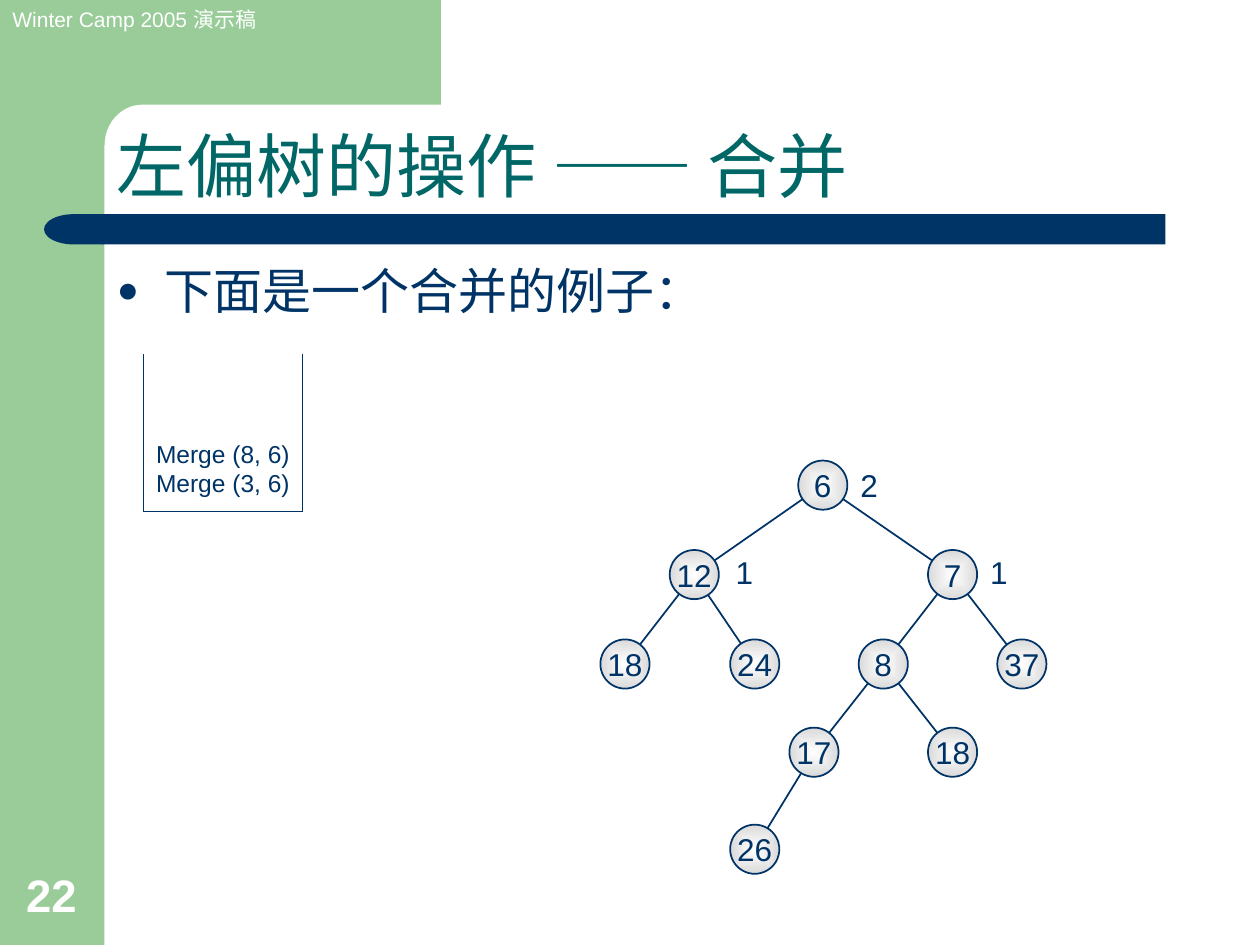
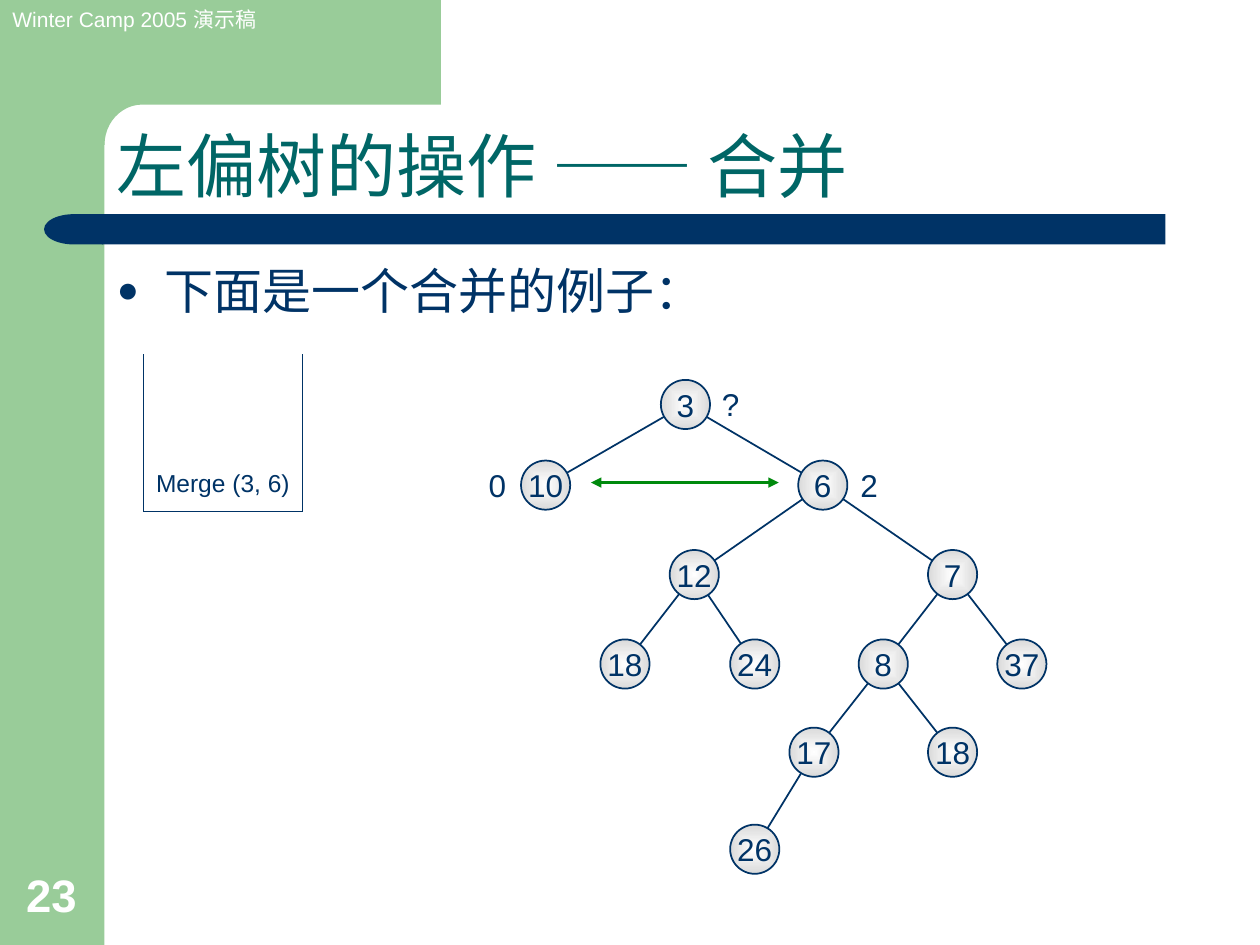
import math

import lxml.etree
import pptx
import pptx.dml.color
import pptx.enum.shapes
import pptx.enum.text
import pptx.oxml.ns
import pptx.util

Inches = pptx.util.Inches
Pt = pptx.util.Pt
qn = pptx.oxml.ns.qn
SubElement = lxml.etree.SubElement
SHAPE = pptx.enum.shapes.MSO_SHAPE
STRAIGHT = pptx.enum.shapes.MSO_CONNECTOR.STRAIGHT
ANCHOR = pptx.enum.text.MSO_ANCHOR
ALIGN = pptx.enum.text.PP_ALIGN

NAVY, TEAL, GREEN, WHITE = "003366", "006666", "99CC99", "FFFFFF"
SILVER, ARROW_GREEN = "DADADA", "008A0D"
FONT, DASH_FONT = "Arial", "Noto Sans CJK SC"

SIDE_W, TOP_H, TOP_RIGHT = 0.83, 0.83, 3.5
CORNER_RX, CORNER_RY, CORNER_STEPS = 0.3, 0.32, 12
NODE_D = 0.39
DISTANCE_W, DISTANCE_H = 0.32, 0.4
LEVEL_Y = [3.21, 3.85, 4.56, 5.27, 5.97, 6.74]

# label, centre x, level, parent label
HEAP_6 = [
    ("6", 6.53, 1, "3"),
    ("12", 5.51, 2, "6"),
    ("7", 7.56, 2, "6"),
    ("18", 4.96, 3, "12"),
    ("24", 5.99, 3, "12"),
    ("8", 7.01, 3, "7"),
    ("37", 8.11, 3, "7"),
    ("17", 6.46, 4, "8"),
    ("18", 7.56, 4, "8"),
    ("26", 5.99, 5, "17"),
]
HEAP_3 = [("3", 5.44, 0, None), ("10", 4.33, 1, "3")]

SLIDES = [
    {
        "number": "22",
        "stack": ["Merge (8, 6)", "Merge (3, 6)"],
        "nodes": HEAP_6,
        "distances": [("2", 6.89, 3.85), ("1", 5.9, 4.54), ("1", 7.92, 4.54)],
        "swap_arrow": [],
    },
    {
        "number": "23",
        "stack": ["Merge (3, 6)"],
        "nodes": HEAP_3 + HEAP_6,
        "distances": [("0", 3.94, 3.85), ("2", 6.89, 3.85), ("?", 5.79, 3.21)],
        "swap_arrow": [((4.69, 3.83), (6.18, 3.83))],
    },
]

TEXT_STYLES = {
    "header": {"size": Pt(12), "color": WHITE},
    "title": {"size": Pt(40), "color": TEAL, "anchor": ANCHOR.BOTTOM, "wrap": True},
    "body": {"size": Pt(28), "color": NAVY, "wrap": True},
    "stack": {"size": Pt(14), "color": NAVY, "anchor": ANCHOR.BOTTOM},
    "node": {"size": Pt(18), "color": NAVY, "anchor": ANCHOR.MIDDLE, "align": ALIGN.CENTER},
    "distance": {"size": Pt(18), "color": NAVY, "align": ALIGN.CENTER},
    "number": {"size": Pt(26), "color": WHITE, "anchor": ANCHOR.BOTTOM, "wrap": True, "bold": True},
}


def rgb(value):
    return pptx.dml.color.RGBColor.from_string(value)


def write(sp, style_name, *paragraphs):
    style = TEXT_STYLES[style_name]
    tf = sp.text_frame
    frame_format = {
        "word_wrap": style.get("wrap", False),
        "vertical_anchor": style.get("anchor", ANCHOR.TOP),
    }
    font_format = {"size": style["size"], "bold": style.get("bold", False)}
    for name, value in frame_format.items():
        setattr(tf, name, value)
    for i, runs in enumerate(paragraphs):
        p = tf.add_paragraph() if i else tf.paragraphs[0]
        p.alignment = style.get("align", ALIGN.LEFT)
        for words, face in runs:
            r = p.add_run()
            r.text = words
            for name, value in font_format.items():
                setattr(r.font, name, value)
            r.font.color.rgb = rgb(style["color"])
            r.font.name = face
            SubElement(r.font._element, qn("a:ea"), typeface=face)
    return tf.paragraphs[0]


prs = pptx.Presentation()
prs.slide_width, prs.slide_height = Inches(10), Inches(7.5)

arc = []
for step in range(CORNER_STEPS + 1):
    angle = math.pi / 2 * step / CORNER_STEPS
    arc.append((
        SIDE_W + CORNER_RX * (1 - math.sin(angle)),
        TOP_H + CORNER_RY * (1 - math.cos(angle)),
    ))
corner_outline = [(0.5, 0), (TOP_RIGHT, 0), (TOP_RIGHT, TOP_H), *arc, (0.5, arc[-1][1])]
corner_points = [(Inches(x), Inches(y)) for x, y in corner_outline]

stack_walls = [(1.14, 2.81), (1.14, 4.06), (2.4, 4.06), (2.4, 2.81)]

for page in SLIDES:
    s = prs.slides.add_slide(prs.slide_layouts[6])

    side = s.shapes.add_shape(SHAPE.RECTANGLE, 0, 0, Inches(SIDE_W), prs.slide_height)
    fb = s.shapes.build_freeform(*corner_points[0])
    fb.add_line_segments(corner_points[1:], close=True)
    corner = fb.convert_to_shape()
    bar = s.shapes.add_shape(
        SHAPE.RECTANGLE, Inches(0.81), Inches(1.7), Inches(8.44), Inches(0.24))
    bar_cap = s.shapes.add_shape(
        SHAPE.FLOWCHART_DELAY, Inches(0.35), Inches(1.7), Inches(0.47), Inches(0.24))
    bar_cap._element.spPr.find(qn("a:xfrm")).set("flipH", "1")
    for sp, color in [(side, GREEN), (corner, GREEN), (bar, NAVY), (bar_cap, NAVY)]:
        sp.shadow.inherit = False
        sp.fill.solid()
        sp.fill.fore_color.rgb = rgb(color)
        sp.line.fill.background()

    header = s.shapes.add_textbox(0, 0, Inches(2.28), Inches(0.3))
    write(header, "header", [("Winter Camp 2005 演示稿", FONT)])

    title = s.shapes.add_textbox(Inches(0.83), Inches(0.83), Inches(8.51), Inches(0.87))
    p = write(title, "title", [("左偏树的操作", FONT), (" —— ", DASH_FONT), ("合并", FONT)])
    p.line_spacing = 0.9

    body = s.shapes.add_textbox(Inches(0.83), Inches(2.02), Inches(8.43), Inches(4.88))
    p = write(body, "body", [("下面是一个合并的例子：", FONT)])
    pPr = p._p.get_or_add_pPr()
    for name, value in {"marL": Inches(0.38), "indent": -Inches(0.38)}.items():
        pPr.set(name, str(value))
    SubElement(SubElement(pPr, qn("a:buClr")), qn("a:srgbClr"), val=NAVY)
    SubElement(pPr, qn("a:buSzPct"), val="75000")
    SubElement(pPr, qn("a:buFont"), typeface=FONT)
    SubElement(pPr, qn("a:buChar"), char="●")

    stack = s.shapes.add_textbox(Inches(1.14), Inches(2.97), Inches(1.26), Inches(1.03))
    write(stack, "stack", *[[(call, FONT)] for call in page["stack"]])

    centers = {label: (x, LEVEL_Y[level]) for label, x, level, _ in page["nodes"]}
    edges = [
        (centers[parent], (x, LEVEL_Y[level]))
        for _, x, level, parent in page["nodes"] if parent in centers
    ]
    line_groups = [
        (zip(stack_walls, stack_walls[1:]), NAVY, 0.75, []),
        (edges, NAVY, 1, []),
        (page["swap_arrow"], ARROW_GREEN, 1.5, ["a:headEnd", "a:tailEnd"]),
    ]
    for segments, color, width, arrowheads in line_groups:
        for start, end in segments:
            cn = s.shapes.add_connector(STRAIGHT, *[Inches(v) for v in start + end])
            cn.line.color.rgb = rgb(color)
            cn.line.width = Pt(width)
            for arrowhead in arrowheads:
                SubElement(cn.line._get_or_add_ln(), qn(arrowhead), type="triangle")
            SubElement(cn._element.spPr, qn("a:effectLst"))

    for label, x, level, _ in page["nodes"]:
        left, top = x - NODE_D / 2, LEVEL_Y[level] - NODE_D / 2
        node = s.shapes.add_shape(
            SHAPE.OVAL, Inches(left), Inches(top), Inches(NODE_D), Inches(NODE_D))
        node.shadow.inherit = False
        node.fill.gradient()
        for stop, color, position in zip(node.fill.gradient_stops, (WHITE, SILVER), (0, 1)):
            stop.color.rgb = rgb(color)
            stop.position = position
        grad = node._element.spPr.find(qn("a:gradFill"))
        grad.remove(grad.find(qn("a:lin")))
        shade = SubElement(grad, qn("a:path"), path="shape")
        SubElement(shade, qn("a:fillToRect"), dict.fromkeys("ltrb", "50000"))
        node.line.color.rgb = rgb(NAVY)
        node.line.width = Pt(1)
        write(node, "node", [(label, FONT)])

    for distance, x, y in page["distances"]:
        left, top = x - DISTANCE_W / 2, y - DISTANCE_H / 2
        sp = s.shapes.add_textbox(
            Inches(left), Inches(top), Inches(DISTANCE_W), Inches(DISTANCE_H))
        write(sp, "distance", [(distance, FONT)])

    number = s.shapes.add_textbox(Inches(0.11), Inches(6.83), Inches(0.64), Inches(0.53))
    write(number, "number", [(page["number"], FONT)])

prs.save("out.pptx")
